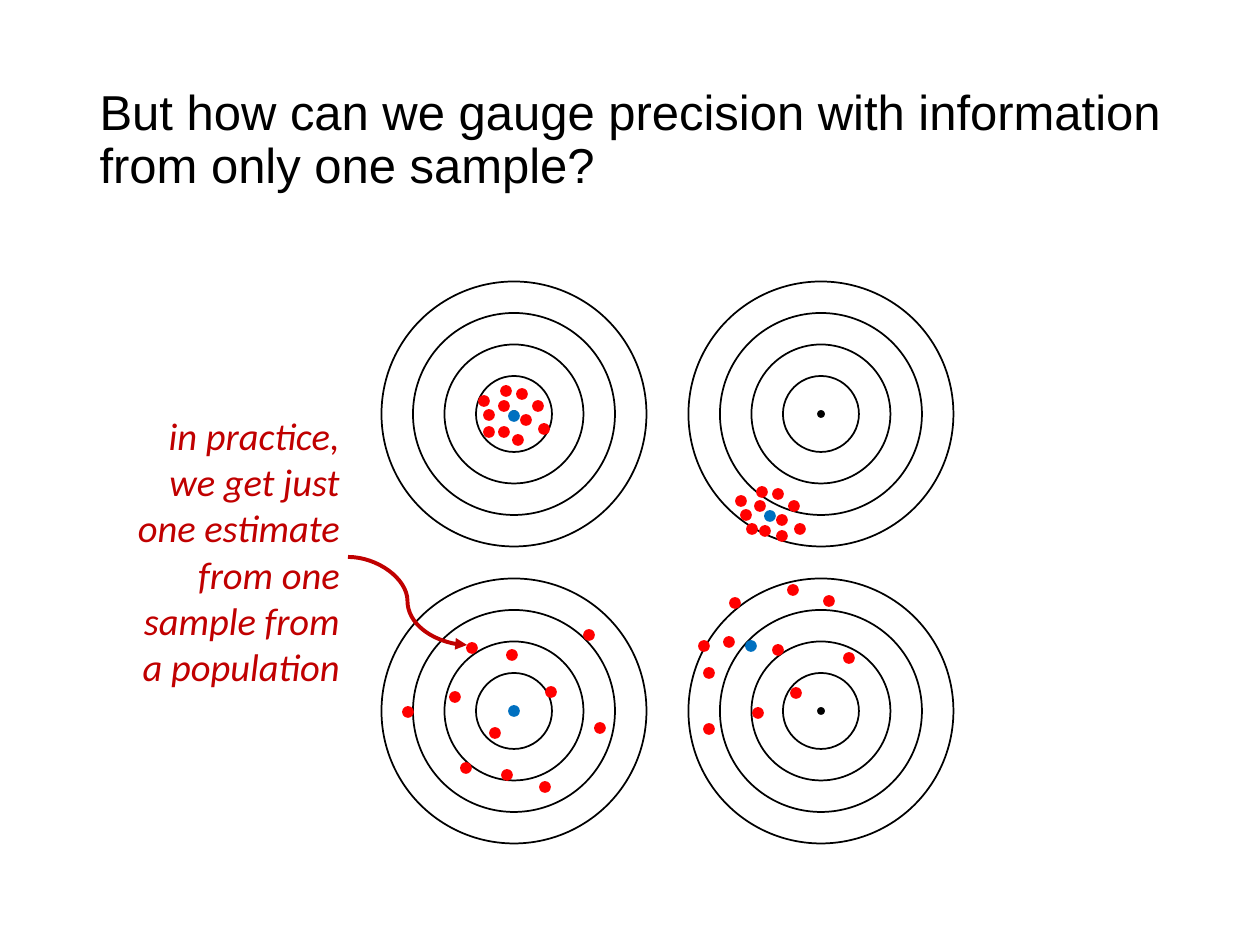
from dataclasses import dataclass

from lxml.etree import SubElement
from pptx import Presentation
from pptx.dml.color import RGBColor
from pptx.enum.shapes import MSO_CONNECTOR as Connector, MSO_SHAPE as Preset
from pptx.enum.text import MSO_ANCHOR as Anchor, MSO_AUTO_SIZE as AutoSize, PP_ALIGN as Align
from pptx.oxml.ns import qn
from pptx.shapes.group import GroupShape
from pptx.text.text import TextFrame
from pptx.util import Emu, Pt

BLACK = RGBColor(0x00, 0x00, 0x00)
RED = RGBColor(0xFF, 0x00, 0x00)
BLUE = RGBColor(0x00, 0x70, 0xC0)
DARK_RED = RGBColor(0xC0, 0x00, 0x00)

EMU_PER_PIXEL = 914400 / 126
RING_DIAMETERS = (265, 202, 139, 76)
BULLSEYE_DIAMETER = 6
DOT_DIAMETER = 10

Point = tuple[int, int]


@dataclass(frozen=True)
class Target:
    center: Point
    estimates: tuple[Point, ...]
    mean: Point


TARGETS = (
    Target((821, 711),
           ((849, 658), (735, 603), (796, 693), (704, 646), (793, 590), (729, 642),
            (709, 673), (758, 713), (778, 650), (709, 729), (829, 601)),
           (751, 646)),
    Target((514, 711),
           ((507, 775), (455, 697), (466, 768), (600, 728), (512, 655), (545, 787),
            (408, 712), (495, 733), (589, 635), (472, 648), (551, 692)),
           (514, 711)),
    Target((514, 414),
           ((489, 415), (506, 391), (504, 406), (522, 394), (484, 401), (489, 432),
            (504, 432), (518, 440), (538, 406), (544, 429), (526, 420)),
           (514, 416)),
    Target((821, 414),
           ((746, 515), (762, 492), (760, 506), (778, 494), (741, 501), (752, 529),
            (765, 531), (782, 536), (794, 506), (800, 529), (782, 520)),
           (770, 516)),
)


def px(pixels: float) -> Emu:
    return Emu(round(pixels * EMU_PER_PIXEL))


def add_circle(group: GroupShape, center: Point, diameter: int,
               line: RGBColor, fill: RGBColor | None = None) -> None:
    left, top = (px(value - diameter / 2) for value in center)
    circle = group.shapes.add_shape(Preset.OVAL, left, top, px(diameter), px(diameter))
    circle.shadow.inherit = False
    circle.line.color.rgb = line
    circle.line.width = Pt(1)
    if fill is None:
        circle.fill.background()
    else:
        circle.fill.solid()
        circle.fill.fore_color.rgb = fill


def write_text(frame: TextFrame, text: str, color: RGBColor,
               paragraph_format: dict, font_format: dict) -> None:
    frame.word_wrap = True
    paragraph = frame.paragraphs[0]
    for name, value in paragraph_format.items():
        setattr(paragraph, name, value)
    run = paragraph.add_run()
    run.text = text
    for name, value in font_format.items():
        setattr(run.font, name, value)
    run.font.color.rgb = color


def add_curved_arrow(group: GroupShape, start: Point, end: Point, color: RGBColor) -> None:
    arrow = group.shapes.add_connector(Connector.CURVE, *map(px, start + end))
    arrow.line.color.rgb = color
    arrow.line.width = Pt(2.25)
    SubElement(arrow.line._get_or_add_ln(), qn("a:tailEnd"), type="triangle")
    SubElement(arrow._element.spPr, qn("a:effectLst"))


presentation = Presentation()
presentation.slide_width, presentation.slide_height = px(1260), px(945)
slide = presentation.slides.add_slide(presentation.slide_layouts[5])

# Title
title = slide.shapes.title
title.left, title.top, title.width, title.height = map(px, (87, 50, 1086, 183))
title.text_frame.auto_size = AutoSize.NONE
title.text_frame.vertical_anchor = Anchor.MIDDLE
write_text(title.text_frame,
           "But how can we gauge precision with information from only one sample?", BLACK,
           {"alignment": Align.LEFT, "line_spacing": 0.9},
           {"name": "Arial", "size": Pt(28)})

# Targets, then the estimates and their mean on each
targets_group = slide.shapes.add_group_shape()
for target in TARGETS:
    for diameter in RING_DIAMETERS:
        add_circle(targets_group, target.center, diameter, BLACK)
    add_circle(targets_group, target.center, BULLSEYE_DIAMETER, BLACK, BLACK)
for target in TARGETS:
    for estimate in target.estimates:
        add_circle(targets_group, estimate, DOT_DIAMETER, RED, RED)
    add_circle(targets_group, target.mean, DOT_DIAMETER, BLUE, BLUE)

# Remark with an arrow to a single estimate
remark_group = slide.shapes.add_group_shape()
remark = remark_group.shapes.add_textbox(*map(px, (106, 406, 246, 292)))
write_text(remark.text_frame,
           "in practice, we get just one estimate from one sample from a population", DARK_RED,
           {"alignment": Align.RIGHT},
           {"name": "Calibri", "size": Pt(22), "italic": True})
remark.text_frame.auto_size = AutoSize.SHAPE_TO_FIT_TEXT
add_curved_arrow(remark_group, (348, 557), (467, 645), DARK_RED)

presentation.save("out.pptx")
